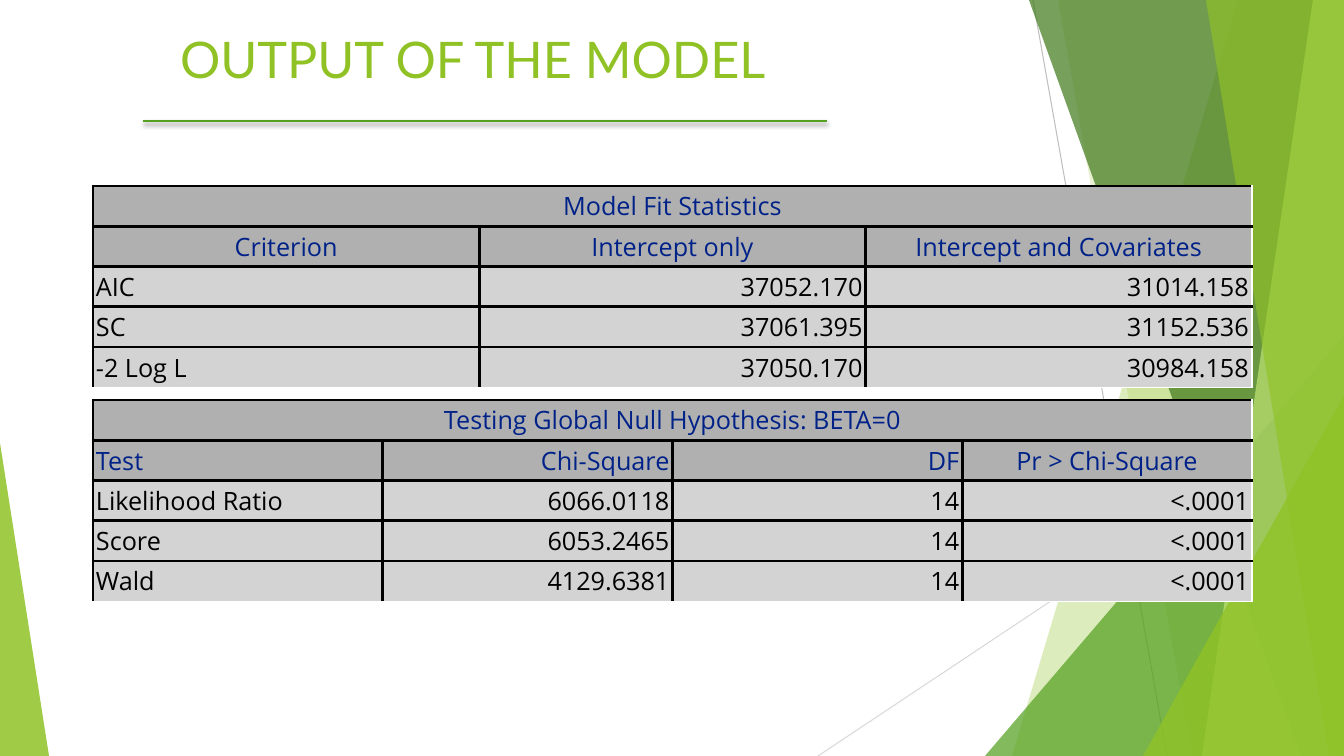
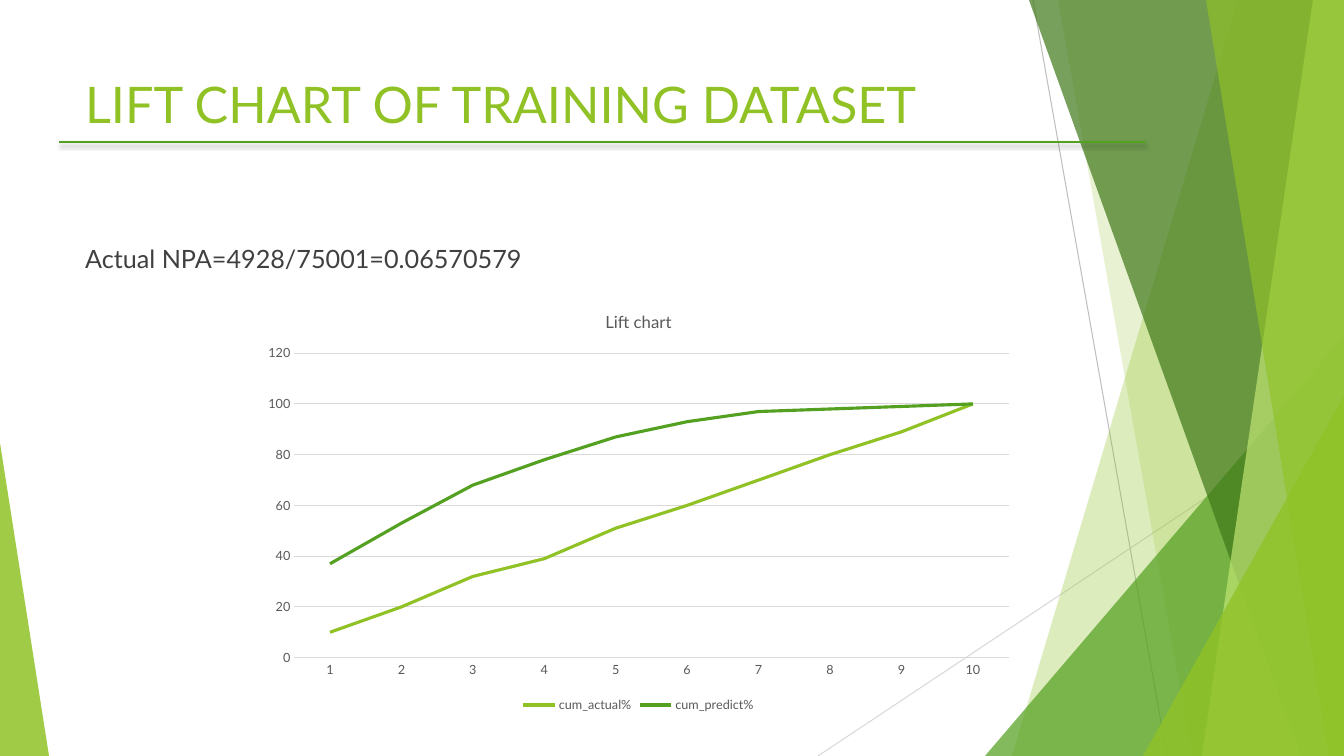
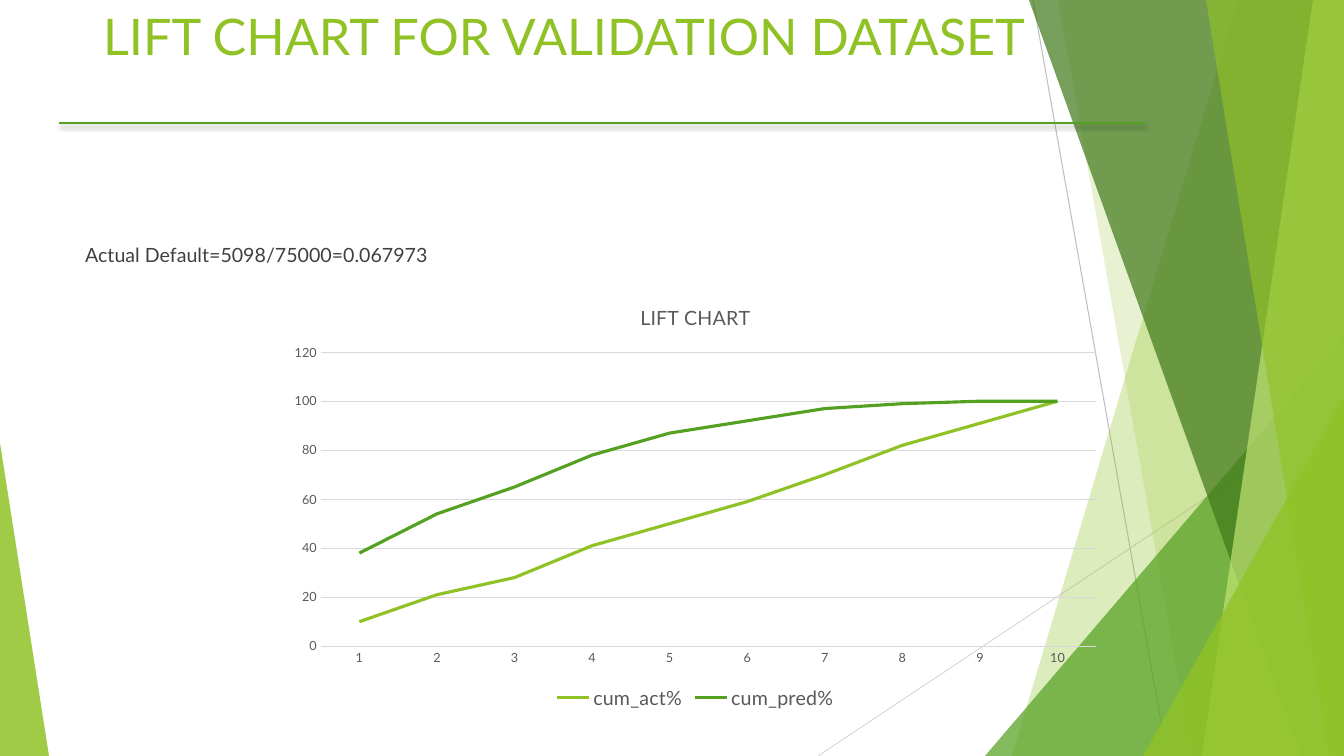
from lxml import etree
from pptx import Presentation
from pptx.chart.data import CategoryChartData
from pptx.dml.color import RGBColor
from pptx.enum.chart import XL_CHART_TYPE, XL_LEGEND_POSITION, XL_TICK_MARK
from pptx.enum.shapes import MSO_CONNECTOR, MSO_SHAPE
from pptx.enum.text import MSO_ANCHOR, MSO_AUTO_SIZE, PP_ALIGN
from pptx.oxml.ns import qn
from pptx.util import Pt

WIDTH, HEIGHT = 1344, 756
EMU_PER_PIXEL = 12192000 / WIDTH
LINE_CHART = XL_CHART_TYPE.LINE
LEGEND_BOTTOM = XL_LEGEND_POSITION.BOTTOM
NO_TICKS = XL_TICK_MARK.NONE
STRAIGHT = MSO_CONNECTOR.STRAIGHT
TRIANGLE = MSO_SHAPE.ISOSCELES_TRIANGLE
TOP, MIDDLE = MSO_ANCHOR.TOP, MSO_ANCHOR.MIDDLE
FIXED_SIZE = MSO_AUTO_SIZE.NONE
ALIGNMENTS = {"l": PP_ALIGN.LEFT, "c": PP_ALIGN.CENTER, "r": PP_ALIGN.RIGHT}

COLORS = {
    "lime": "90C226", "green": "54A021", "forest": "3F7819", "pale": "C0E474",
    "body": "404040", "chart_text": "595959", "grid": "D9D9D9",
    "thin_line": "BFBFBF", "heading": "002288", "heading_fill": "B0B0B0",
    "cell_fill": "D3D3D3", "black": "000000", "white": "FFFFFF",
}
TITLE_FONT, TABLE_FONT = "Lato", "Open Sans"

# Facets from back to front: top left x and bottom left x of a band that
# runs to the right edge, or the box and apex of a triangle.
FACETS = [
    ("band", (1238, 1012), "lime", 30),
    ("band", (1058, 1192), "lime", 20),
    ("triangle", (985, 336, 359, 420, 1), "green", 72),
    ("band", (1029, 1301), "forest", 70),
    ("band", (1313, 1202), "pale", 70),
    ("band", (1206, 1329), "lime", 65),
    ("triangle", (1143, 396, 201, 360, 1), "lime", 80),
    ("triangle", (0, 443, 49, 313, 0), "lime", 85),
]


def px(length):
    """Turn pixels into EMU."""
    return round(length * EMU_PER_PIXEL)


def color(name):
    """Return a named colour."""
    return RGBColor.from_string(COLORS[name])


def set_values(target, **values):
    """Set several attributes of one object."""
    for name, value in values.items():
        setattr(target, name, value)


def style_font(font, size, color_name, name=TITLE_FONT):
    """Set size, colour and typeface of a font."""
    set_values(font, size=Pt(size), name=name, bold=False)
    font.color.rgb = color(color_name)


def style_line(line, color_name, width):
    """Set colour and width of a line."""
    line.color.rgb = color(color_name)
    line.width = Pt(width)


def add_line(shapes, start, end, color_name, width):
    """Draw a straight line and return its empty effect list."""
    connector = shapes.add_connector(STRAIGHT, *map(px, start + end))
    style_line(connector.line, color_name, width)
    properties = connector.element.find(qn("p:spPr"))
    return etree.SubElement(properties, qn("a:effectLst"))


def add_facet(shapes, kind, geometry, color_name, opacity):
    """Draw one translucent band or triangle."""
    if kind == "band":
        top_left, bottom_left = geometry
        builder = shapes.build_freeform(top_left, 0, scale=EMU_PER_PIXEL)
        builder.add_line_segments(
            [(WIDTH, 0), (WIDTH, HEIGHT), (bottom_left, HEIGHT)], close=True)
        shape = builder.convert_to_shape()
    else:
        *box, apex = geometry
        shape = shapes.add_shape(TRIANGLE, *map(px, box))
        shape.adjustments[0] = apex
    shape.fill.solid()
    shape.fill.fore_color.rgb = color(color_name)
    shape.line.fill.background()
    shape.shadow.inherit = False
    fill_color = shape.element.find(".//" + qn("a:srgbClr"))
    etree.SubElement(fill_color, qn("a:alpha"), val=str(opacity * 1000))


def decorate_master(master, slide):
    """Draw the shared facets as a group and move it to the slide master."""
    group = slide.shapes.add_group_shape()
    add_line(group.shapes, (1033, 0), (1167, HEIGHT), "thin_line", 0.75)
    add_line(group.shapes, (WIDTH, 406), (818, HEIGHT), "grid", 0.75)
    for facet in FACETS:
        add_facet(group.shapes, *facet)
    for number, item in enumerate(group.element.iter(qn("p:cNvPr")), 100):
        item.set("id", str(number))
    master.shapes.element.insert(2, group.element)


def fill_placeholder(placeholder, box, text, size, color_name):
    """Place a placeholder and write one left-aligned paragraph."""
    left, top, width, height = map(px, box)
    set_values(placeholder, left=left, top=top, width=width, height=height)
    frame = placeholder.text_frame
    set_values(frame, text=text, auto_size=FIXED_SIZE, vertical_anchor=TOP)
    paragraph = frame.paragraphs[0]
    paragraph.alignment = ALIGNMENTS["l"]
    style_font(paragraph.runs[0].font, size, color_name)
    return paragraph


def add_title(slide, box, text):
    """Write the slide title."""
    fill_placeholder(slide.shapes.title, box, text, 36, "lime")


def add_body(slide, box, text, size):
    """Write the body line without a bullet."""
    paragraph = fill_placeholder(slide.placeholders[1], box, text, size, "body")
    paragraph.space_before = Pt(10)
    properties = paragraph._p.get_or_add_pPr()
    properties.set("marL", "0")
    properties.set("indent", "0")
    etree.SubElement(properties, qn("a:buNone"))


def add_title_rule(slide, left, right, top):
    """Draw the shadowed line under the title."""
    effects = add_line(slide.shapes, (left, top), (right, top), "green", 2)
    shadow = etree.SubElement(
        effects, qn("a:outerShdw"), blurRad=str(Pt(3)), dist=str(Pt(2)),
        dir="5400000", rotWithShape="0")
    shade = etree.SubElement(shadow, qn("a:srgbClr"), val=COLORS["black"])
    etree.SubElement(shade, qn("a:alpha"), val="35000")


def add_border(cell, side, color_name, width):
    """Draw one border of a cell."""
    properties = cell._tc.get_or_add_tcPr()
    line = etree.SubElement(properties, qn("a:ln" + side), w=str(Pt(width)))
    fill = etree.SubElement(line, qn("a:solidFill"))
    etree.SubElement(fill, qn("a:srgbClr"), val=COLORS[color_name])


def style_cell(cell, is_heading, at_right, at_bottom):
    """Set borders, fill and margins of a cell."""
    inner, outer = ("black", 2.25), ("white", 1.13)
    add_border(cell, "L", *inner)
    add_border(cell, "R", *(outer if at_right else inner))
    add_border(cell, "T", *inner)
    add_border(cell, "B", *(outer if at_bottom else inner))
    cell.fill.solid()
    cell.fill.fore_color.rgb = color("heading_fill" if is_heading else "cell_fill")
    margin = px(3)
    set_values(cell, margin_left=margin, margin_right=margin, margin_top=margin,
               margin_bottom=margin, vertical_anchor=MIDDLE)


def add_statistics_table(slide, box, caption, heading_alignment, rows):
    """Build a table with a merged caption, a heading row and value rows."""
    column_count = len(rows[0])
    grid = [[caption] + [""] * (column_count - 1)] + rows
    table = slide.shapes.add_table(len(grid), column_count, *map(px, box)).table
    set_values(table, first_row=False, horz_banding=False)
    table.cell(0, 0).merge(table.cell(0, column_count - 1))
    value_alignment = "l" + "r" * (column_count - 1)
    for row, texts in enumerate(grid):
        is_heading = row < 2
        alignments = ("c" * column_count, heading_alignment, value_alignment)[min(row, 2)]
        for column, text in enumerate(texts):
            cell = table.cell(row, column)
            style_cell(cell, is_heading, row == 0 or column == column_count - 1,
                       row == len(grid) - 1)
            if not text:
                continue
            cell.text = text
            paragraph = cell.text_frame.paragraphs[0]
            paragraph.alignment = ALIGNMENTS[alignments[column]]
            style_font(paragraph.runs[0].font, 18,
                       "heading" if is_heading else "black", TABLE_FONT)


def style_axes(chart):
    """Format both axes and the gridlines."""
    for axis in (chart.category_axis, chart.value_axis):
        set_values(axis, major_tick_mark=NO_TICKS, minor_tick_mark=NO_TICKS)
        style_font(axis.tick_labels.font, 9, "chart_text")
    style_line(chart.category_axis.format.line, "grid", 0.75)
    value_axis = chart.value_axis
    set_values(value_axis, minimum_scale=0, maximum_scale=120, major_unit=20,
               has_major_gridlines=True)
    value_axis.format.line.fill.background()
    style_line(value_axis.major_gridlines.format.line, "grid", 0.75)


def add_lift_chart(slide, box, chart_title, title_size, legend_size, series_values):
    """Build a lift chart with actual and predicted lines."""
    data = CategoryChartData()
    data.categories = [str(decile) for decile in range(1, 11)]
    for name, values in series_values.items():
        data.add_series(name, values)
    chart = slide.shapes.add_chart(LINE_CHART, *map(px, box), data).chart
    style_font(chart.font, 10, "black")
    set_values(chart, has_title=True, has_legend=True)
    title_frame = chart.chart_title.text_frame
    title_frame.text = chart_title
    style_font(title_frame.paragraphs[0].runs[0].font, title_size, "chart_text")
    set_values(chart.legend, position=LEGEND_BOTTOM, include_in_layout=False)
    style_font(chart.legend.font, legend_size, "chart_text")
    style_axes(chart)
    chart.plots[0].vary_by_categories = False
    for series, color_name in zip(chart.plots[0].series, ("lime", "green")):
        series.smooth = False
        style_line(series.format.line, color_name, 2.25)


def build_output_slide(slide):
    """Fill the slide with the two model tables."""
    add_title(slide, (170, 23, 1159, 146), "OUTPUT OF THE MODEL")
    add_statistics_table(
        slide, (93, 186, 1159, 182), "Model Fit Statistics", "ccc",
        [["Criterion", "Intercept only", "Intercept and Covariates"],
         ["AIC", "37052.170", "31014.158"],
         ["SC", "37061.395", "31152.536"],
         ["-2 Log L", "37050.170", "30984.158"]])
    add_statistics_table(
        slide, (93, 400, 1159, 182), "Testing Global Null Hypothesis: BETA=0", "lrrc",
        [["Test", "Chi-Square", "DF", "Pr > Chi-Square"],
         ["Likelihood Ratio", "6066.0118", "14", "<.0001"],
         ["Score", "6053.2465", "14", "<.0001"],
         ["Wald", "4129.6381", "14", "<.0001"]])
    add_title_rule(slide, 143, 827, 121)


def build_lift_slide(slide, title, title_box, rule_top, body, body_size, **chart):
    """Fill a slide with a body line and a lift chart."""
    add_title(slide, title_box, title)
    add_body(slide, (75, 238, 948, 427), body, body_size)
    add_lift_chart(slide, **chart)
    add_title_rule(slide, 59, 1146, rule_top)


def main():
    """Build and save the presentation."""
    presentation = Presentation()
    set_values(presentation, slide_width=px(WIDTH), slide_height=px(HEIGHT))
    content_layout, title_layout = (presentation.slide_layouts[i] for i in (1, 5))
    add_slide = presentation.slides.add_slide

    output_slide = add_slide(title_layout)
    decorate_master(presentation.slide_master, output_slide)
    build_output_slide(output_slide)
    build_lift_slide(
        add_slide(content_layout), "LIFT CHART OF TRAINING DATASET",
        (75, 68, 948, 145), 142, "Actual NPA=4928/75001=0.06570579", 18,
        box=(253, 293, 771, 424), chart_title="Lift chart", title_size=12,
        legend_size=9,
        series_values={
            "cum_actual%": [10, 20, 32, 39, 51, 60, 70, 80, 89, 100],
            "cum_predict%": [37, 53, 68, 78, 87, 93, 97, 98, 99, 100]})
    build_lift_slide(
        add_slide(content_layout), "LIFT CHART FOR VALIDATION DATASET",
        (93, 0, 1159, 147), 123, "Actual Default=5098/75000=0.067973", 14,
        box=(278, 286, 835, 428), chart_title="LIFT CHART", title_size=14,
        legend_size=14,
        series_values={
            "cum_act%": [10, 21, 28, 41, 50, 59, 70, 82, 91, 100],
            "cum_pred%": [38, 54, 65, 78, 87, 92, 97, 99, 100, 100]})
    presentation.save("out.pptx")


main()
